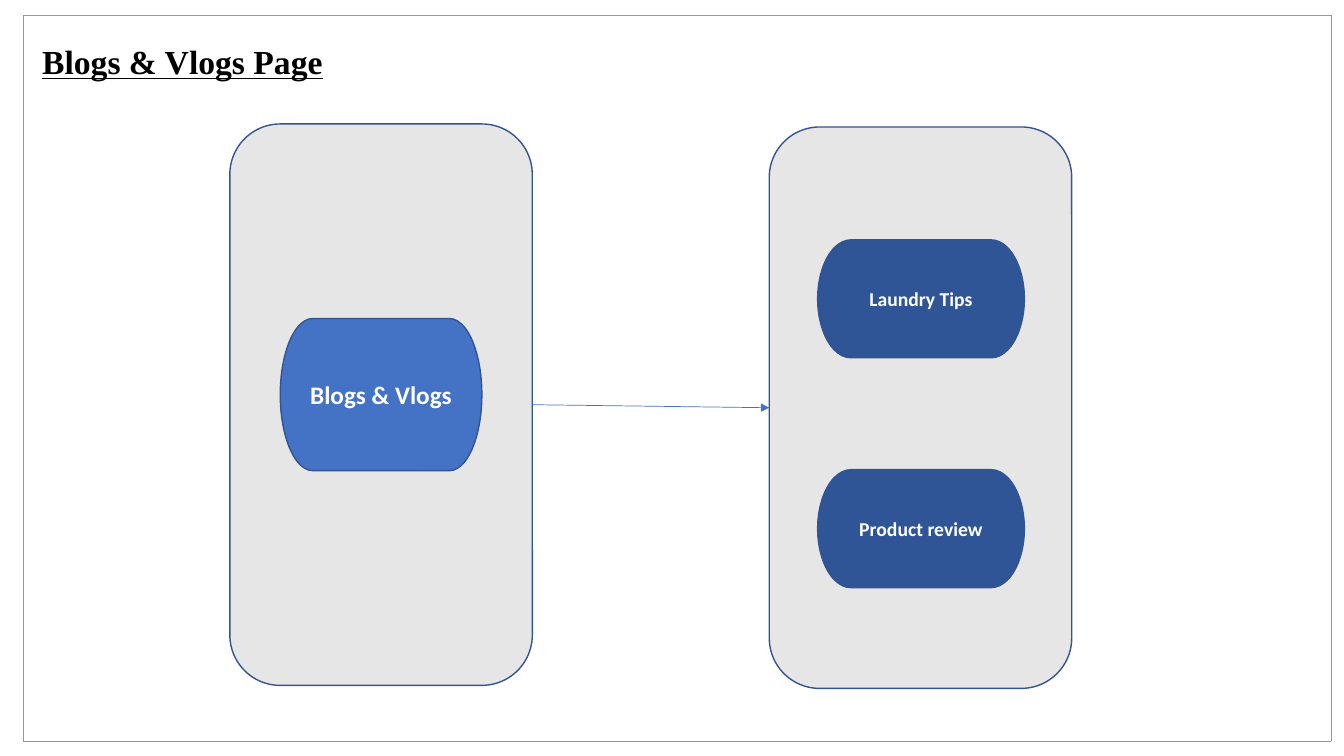
from pptx import Presentation
from pptx.dml.color import RGBColor
from pptx.enum.shapes import MSO_CONNECTOR, MSO_SHAPE
from pptx.enum.text import MSO_ANCHOR, MSO_AUTO_SIZE, PP_ALIGN
from pptx.oxml.ns import qn
from pptx.util import Inches, Pt
from lxml import etree

ROUNDED = MSO_SHAPE.ROUNDED_RECTANGLE
TERMINATOR = MSO_SHAPE.FLOWCHART_TERMINATOR
STRAIGHT = MSO_CONNECTOR.STRAIGHT
MIDDLE = MSO_ANCHOR.MIDDLE
CENTER = PP_ALIGN.CENTER
GROW = MSO_AUTO_SIZE.SHAPE_TO_FIT_TEXT

ORANGE = RGBColor(0xED, 0x7D, 0x31)
GRAY = RGBColor(0xE7, 0xE6, 0xE6)
OUTLINE = RGBColor(0x32, 0x54, 0x91)
BLUE = RGBColor(0x44, 0x72, 0xC4)
NAVY = RGBColor(0x2F, 0x55, 0x97)
WHITE = RGBColor(0xFF, 0xFF, 0xFF)
BLACK = RGBColor(0x00, 0x00, 0x00)

LEFT, RIGHT = 1, 3  # connection sites


class FlowSlide:
    """Places elements on a grid of half-inch columns and rows."""

    CELL = 0.5
    BODY_FONT = "Calibri"
    TITLE_FONT = "Times New Roman"

    def __init__(self, prs):
        self.s = prs.slides.add_slide(prs.slide_layouts[6])

    def grid(self, *cells):
        return [Inches(n * self.CELL) for n in cells]

    def label(self, sp, text, size, font, color):
        p = sp.text_frame.paragraphs[0]
        p.text = text
        f = p.runs[0].font
        f.name, f.size, f.bold = font, Pt(size), True
        f.color.rgb = color
        return p

    def title(self, text, *box):
        sp = self.s.shapes.add_textbox(*self.grid(*box))
        sp.text_frame.word_wrap = True
        sp.text_frame.auto_size = GROW
        p = self.label(sp, text, 24, self.TITLE_FONT, BLACK)
        p.runs[0].font.underline = True

    def shape(self, kind, fill, *box):
        sp = self.s.shapes.add_shape(kind, *self.grid(*box))
        sp.shadow.inherit = False
        sp.fill.solid()
        sp.fill.fore_color.rgb = fill
        sp.line.color.rgb = OUTLINE
        sp.line.width = Pt(1)
        return sp

    def panel(self, *box):
        return self.shape(ROUNDED, GRAY, *box)

    def pill(self, text, size, fill, *box):
        sp = self.shape(TERMINATOR, fill, *box)
        sp.text_frame.word_wrap = True
        sp.text_frame.vertical_anchor = MIDDLE
        p = self.label(sp, text, size, self.BODY_FONT, WHITE)
        p.alignment = CENTER

    def line(self, color, *ends):
        cn = self.s.shapes.add_connector(STRAIGHT, *self.grid(*ends))
        cn.line.color.rgb = color
        cn.line.width = Pt(0.5)
        etree.SubElement(cn._element.spPr, qn("a:effectLst"))
        return cn

    def frame(self, x1, y1, x2, y2):
        for ends in ((x1, y1, x2, y1), (x1, y1, x1, y2),
                     (x2, y1, x2, y2), (x1, y2, x2, y2)):
            self.line(ORANGE, *ends)

    def arrow(self, start, end):
        cn = self.line(BLUE, 0, 0, 1, 1)
        cn.begin_connect(start, RIGHT)
        cn.end_connect(end, LEFT)
        ln = cn._element.spPr.find(qn("a:ln"))
        etree.SubElement(ln, qn("a:tailEnd"), type="triangle")


def main():
    prs = Presentation()
    prs.slide_width, prs.slide_height = Inches(13.33), Inches(7.5)
    page = FlowSlide(prs)

    # Page border
    page.frame(0.46, 0.3, 26.4, 14.7)

    # Panels
    source = page.panel(4.56, 2.46, 6, 11.14)
    target = page.panel(15.26, 2.52, 6, 11.14)

    # Main page and title
    page.pill("Blogs & Vlogs", 18, BLUE, 5.56, 6.32, 4, 3.02)
    page.title("Blogs & Vlogs Page", 0.64, 0.72, 10.58, 1)

    # Topics, evenly stacked
    for i, topic in enumerate(("Laundry Tips", "Product review")):
        page.pill(topic, 14, NAVY, 16.22, 4.76 + i * 4.56, 4.1, 2.34)

    # Link between the panels
    page.arrow(source, target)

    prs.save("out.pptx")


if __name__ == "__main__":
    main()
